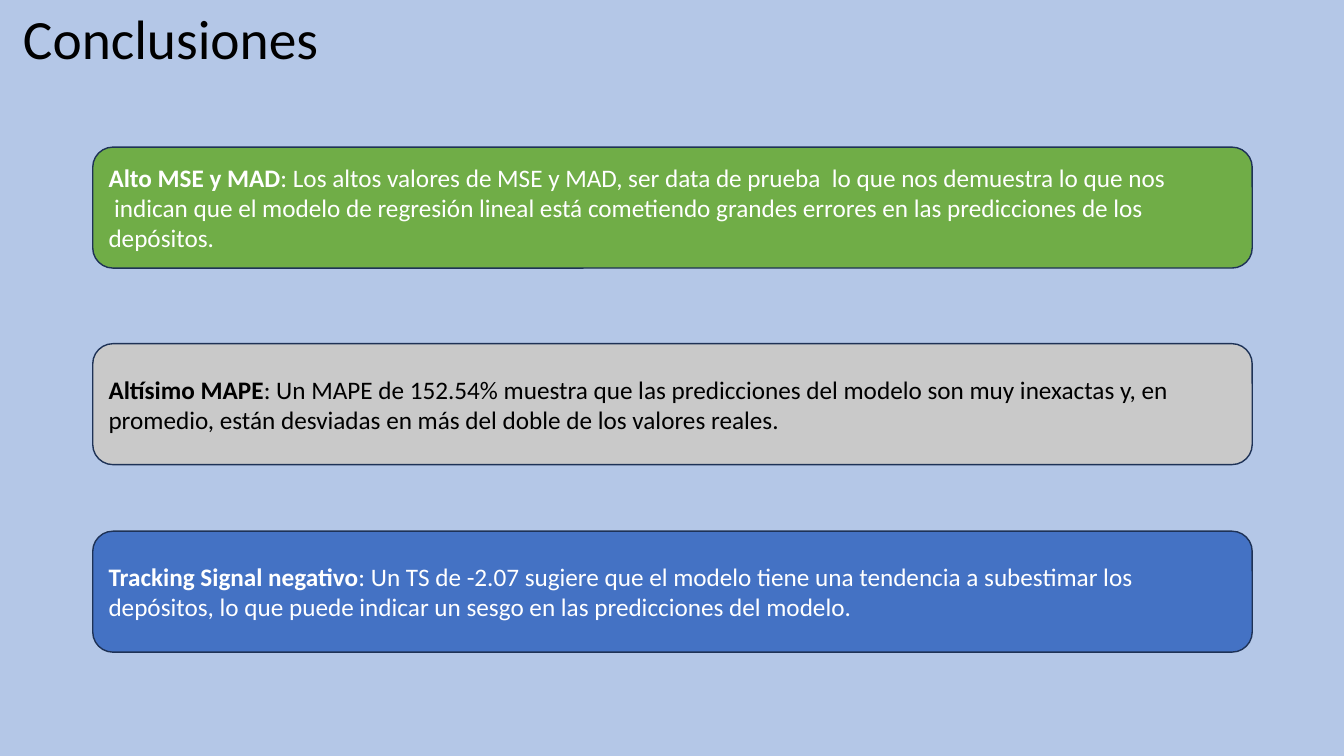
from pptx import Presentation
from pptx.dml.color import RGBColor
from pptx.enum.shapes import MSO_SHAPE
from pptx.enum.text import MSO_ANCHOR, PP_ALIGN
from pptx.util import Inches, Pt

ROUNDED = MSO_SHAPE.ROUNDED_RECTANGLE
MIDDLE = MSO_ANCHOR.MIDDLE
LEFT = PP_ALIGN.LEFT

COLORS = {
    "background": "B4C7E7",
    "green": "70AD47",
    "gray": "C9C9C9",
    "blue": "4472C4",
    "outline": "1E3256",
    "black": "000000",
    "white": "FFFFFF",
}


def color(name):
    return RGBColor.from_string(COLORS[name])


def add_run(paragraph, text, color_name, **font_values):
    run = paragraph.add_run()
    run.text = text
    run.font.color.rgb = color(color_name)
    for name, value in {"name": "Calibri", **font_values}.items():
        setattr(run.font, name, value)


presentation = Presentation()
presentation.slide_width = Inches(13.33)
presentation.slide_height = Inches(7.5)
slide = presentation.slides.add_slide(presentation.slide_layouts[6])
slide.background.fill.solid()
slide.background.fill.fore_color.rgb = color("background")

title = slide.shapes.add_textbox(Inches(0.13), Inches(0.07), Inches(11.5), Inches(0.68))
title.text_frame.word_wrap = True
title.text_frame.vertical_anchor = MIDDLE
title_paragraph = title.text_frame.paragraphs[0]
title_paragraph.line_spacing = 0.9
add_run(title_paragraph, "Conclusiones", "black", size=Pt(39.6))

conclusions = [
    (1.46, "green", "white", "Alto MSE y MAD", [
        ": Los altos valores de MSE y MAD, ser data de prueba  lo que nos demuestra lo que nos",
        " indican que el modelo de regresión lineal está cometiendo grandes errores "
        "en las predicciones de los depósitos.",
    ]),
    (3.41, "gray", "black", "Altísimo MAPE", [
        ": Un MAPE de 152.54% muestra que las predicciones del modelo son muy inexactas y, "
        "en promedio, están desviadas en más del doble de los valores reales.",
    ]),
    (5.27, "blue", "white", "Tracking Signal negativo", [
        ": Un TS de -2.07 sugiere que el modelo tiene una tendencia a subestimar los depósitos, "
        "lo que puede indicar un sesgo en las predicciones del modelo.",
    ]),
]

for top, fill_name, text_color, heading, body in conclusions:
    card = slide.shapes.add_shape(ROUNDED, Inches(0.92), Inches(top), Inches(11.5), Inches(1.2))
    card.shadow.inherit = False
    card.fill.solid()
    card.fill.fore_color.rgb = color(fill_name)
    card.line.color.rgb = color("outline")
    card.line.width = Pt(1)
    frame = card.text_frame
    frame.word_wrap = True
    frame.vertical_anchor = MIDDLE
    for index, text in enumerate(body):
        paragraph = frame.add_paragraph() if index else frame.paragraphs[0]
        paragraph.alignment = LEFT
        if index == 0:
            add_run(paragraph, heading, text_color, size=Pt(18), bold=True)
        add_run(paragraph, text, text_color, size=Pt(18), bold=False)

presentation.save("out.pptx")
